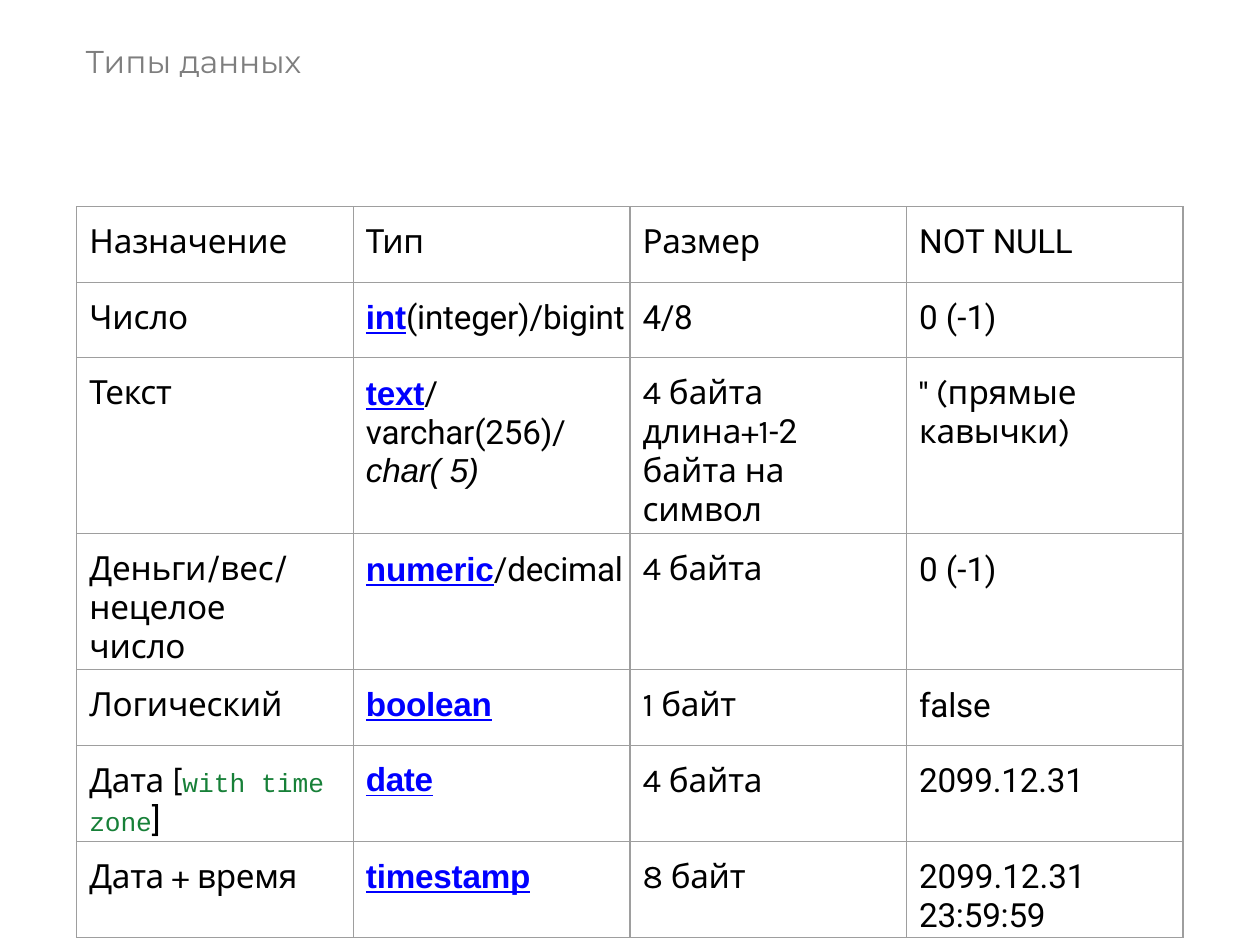
"""Build a slide with a table of database data types."""
import pptx
import pptx.dml.color
import pptx.oxml
import pptx.oxml.ns
import pptx.util
from pptx.util import Inches

COLORS = {"title": "7E7E7E", "text": "000000", "link": "0000FF",
          "code": "178038", "border": "9E9E9E"}
STYLES = {
    "title": {"name": "Montserrat", "size": 18, "color": "title"},
    "body": {"name": "Karla", "size": 19, "color": "text"},
    "plain": {"name": "Roboto", "size": 19, "color": "text"},
    "type": {"name": "Arial", "size": 19, "color": "link", "bold": True, "underline": True},
    "rare": {"name": "Arial", "size": 19, "color": "text", "italic": True},
    "code": {"name": "Courier New", "size": 15, "color": "code"},
}
MINUS_ONE = [("0 (-", "plain", 0), ("1)", "plain", -0.2)]
FOUR_BYTES = [("4 ", "body", 0), ("байта", "body", -0.1)]
ROWS = [
    [[("Назначение", "body", -0.1)],
     [("Тип", "body", -0.2)],
     [("Размер", "body", -0.1)],
     [("NOT", "plain", 0), (" NULL", "plain", -0.2)]],
    [[("Число", "body", -0.1)],
     [("int", "type", -0.1), ("(integer)/bigint", "plain", -0.1)],
     [("4/8", "plain", -0.2)],
     MINUS_ONE],
    [[("Текст", "body", -0.1)],
     [("text", "type", -0.1), ("/varchar(256)/", "plain", -0.1),
      ("char( ", "rare", -0.1), ("5)", "rare", -0.2)],
     [("4 байта ", "body", 0), ("длина+1", "body", -0.1), ("-", "plain", -0.1),
      ("2 ", "plain", -0.5), ("байта на ", "body", 0), ("символ", "body", -0.1)],
     [("'' (прямые ", "body", 0), ("кавычки)", "body", -0.1)]],
    [[("Деньги/вес/нецелое число", "body", -0.1)],
     [("numeric", "type", -0.1), ("/decimal", "plain", -0.1)],
     FOUR_BYTES,
     MINUS_ONE],
    [[("Логический", "body", -0.1)],
     [("boolean", "type", -0.1)],
     [("1 ", "body", 0), ("байт", "body", -0.2)],
     [("false", "plain", -0.1)]],
    [[("Дата ", "body", -0.2), ("[", "body", 0), ("with time ", "code", 0),
      ("zone", "code", -0.1), ("]", "plain", -0.1)],
     [("date", "type", -0.2)],
     FOUR_BYTES,
     [("2099.12.31", "plain", -0.1)]],
    [[("Дата ", "body", -0.2), ("+ ", "body", 0), ("время", "body", -0.2)],
     [("timestamp", "type", -0.1)],
     [("8 ", "body", 0), ("байт", "body", -0.2)],
     [("2099.12.31 ", "plain", 0), ("23:59:59", "plain", -0.1)]],
]
ROW_HEIGHTS = [0.6, 0.6, 0.92, 0.89, 0.6, 0.6, 0.6]
RIGHT_MARGINS = [0.21, 0, 0.21, 0]
TABLE_WIDTH = 8.78


def set_font(font, style):
    """Apply a named style to a font."""
    values = STYLES[style]
    font.name = values["name"]
    font.size = pptx.util.Pt(values["size"])
    font.color.rgb = pptx.dml.color.RGBColor.from_string(COLORS[values["color"]])
    for flag in ("bold", "italic", "underline"):
        if flag in values:
            setattr(font, flag, values[flag])


def write_runs(tf, runs, indent):
    """Write styled runs into the first paragraph of a text frame."""
    p = tf.paragraphs[0]
    p_pr = p._p.get_or_add_pPr()
    p_pr.set("marL", str(Inches(indent)))
    p_pr.set("indent", "0")
    styles = {style for _, style, _ in runs}
    if len(styles) == 1:
        set_font(p.font, runs[0][1])
    for text, style, spacing in runs:
        r = p.add_run()
        r.text = text
        if len(styles) > 1:
            set_font(r.font, style)
        if spacing:
            r._r.get_or_add_rPr().set("spc", str(round(spacing * 100)))


def add_title(slide):
    """Add the slide heading."""
    sp = slide.shapes.add_textbox(Inches(0.67), Inches(0.31), Inches(1.94), Inches(0.32))
    tf = sp.text_frame
    tf.word_wrap = True
    tf.margin_left = tf.margin_right = tf.margin_bottom = 0
    tf.margin_top = Inches(0.02)
    write_runs(tf, [("Типы ", "title", 0), ("данных", "title", -0.1)], 0.01)


def set_borders(cell):
    """Draw a thin line on every side of a cell."""
    tc_pr = cell._tc.get_or_add_tcPr()
    for i, side in enumerate(("lnL", "lnR", "lnT", "lnB")):
        tc_pr.insert(i, pptx.oxml.parse_xml(
            f'<a:{side} {pptx.oxml.ns.nsdecls("a")} w="{pptx.util.Pt(0.75)}"><a:solidFill>'
            f'<a:srgbClr val="{COLORS["border"]}"/></a:solidFill></a:{side}>'))


def add_type_table(slide):
    """Add the table of data types."""
    columns = len(RIGHT_MARGINS)
    table = slide.shapes.add_table(
        len(ROWS), columns, Inches(0.61), Inches(1.64),
        Inches(TABLE_WIDTH), Inches(sum(ROW_HEIGHTS))).table
    table.first_row = table.horz_banding = False
    for column in table.columns:
        column.width = Inches(TABLE_WIDTH / columns)
    for row, height, contents in zip(table.rows, ROW_HEIGHTS, ROWS):
        row.height = Inches(height)
        for cell, runs, right in zip(row.cells, contents, RIGHT_MARGINS):
            cell.margin_left = cell.margin_bottom = 0
            cell.margin_right = Inches(right)
            cell.margin_top = Inches(0.13)
            cell.fill.background()
            set_borders(cell)
            write_runs(cell.text_frame, runs, 0.1)


def main():
    """Create and save the presentation."""
    prs = pptx.Presentation()
    prs.slide_width, prs.slide_height = Inches(10), Inches(7.5)
    slide = prs.slides.add_slide(prs.slide_layouts[6])
    add_title(slide)
    add_type_table(slide)
    prs.save("out.pptx")


if __name__ == "__main__":
    main()
